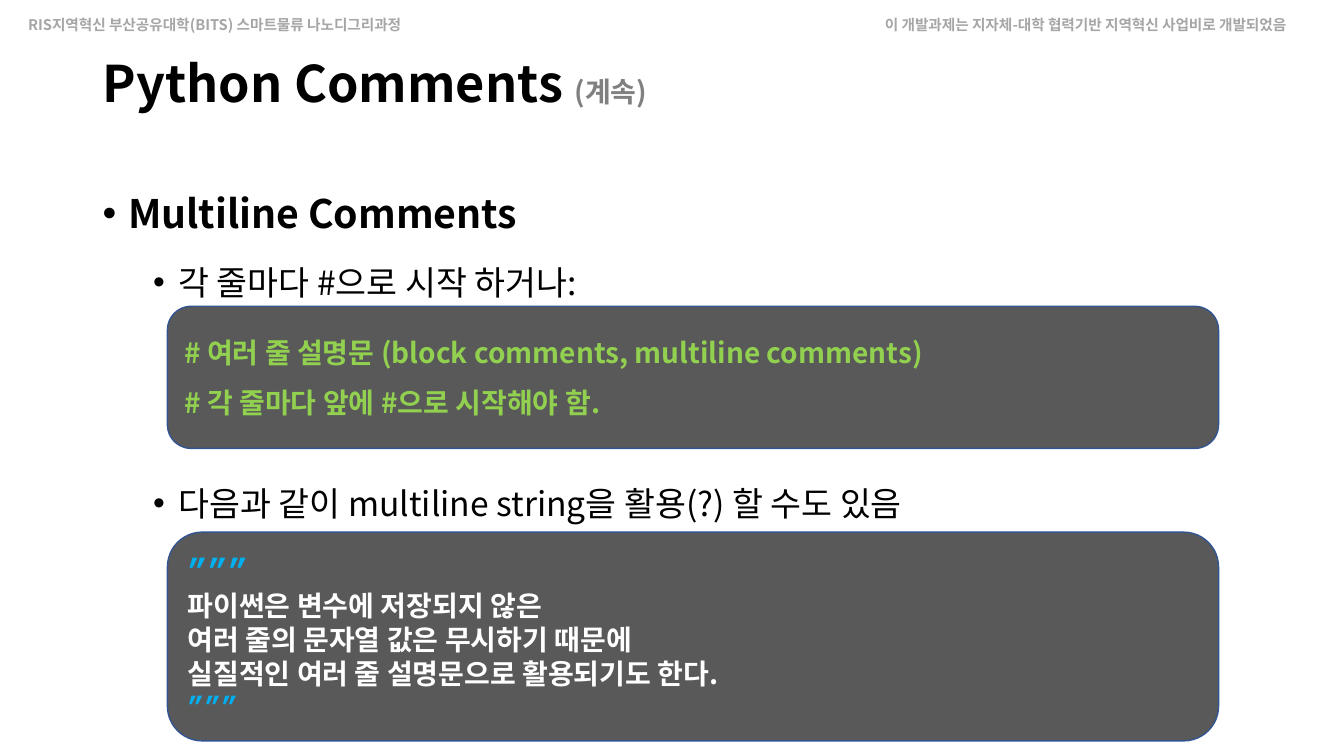
from dataclasses import dataclass

from lxml import etree
from pptx import Presentation
from pptx.dml.color import RGBColor
from pptx.enum.shapes import MSO_SHAPE
from pptx.enum.text import MSO_ANCHOR, MSO_AUTO_SIZE, PP_ALIGN
from pptx.oxml.ns import qn
from pptx.util import Cm, Pt

ROUNDED = MSO_SHAPE.ROUNDED_RECTANGLE
LEFT = PP_ALIGN.LEFT
MIDDLE, TOP = MSO_ANCHOR.MIDDLE, MSO_ANCHOR.TOP
NO_FIT = MSO_AUTO_SIZE.NONE

SANS, MONO = "Noto Sans CJK KR", "Courier New"
BLACK, WHITE, GRAY, LIGHT_GRAY = "000000", "FFFFFF", "808080", "A6A6A6"
GREEN, BLUE, CODE_FILL, CODE_LINE = "92D050", "00B0F0", "595959", "325491"


@dataclass
class Run:
    text: str
    size: float
    color: str
    bold: bool = True
    font: str = SANS


@dataclass
class Line:
    """One paragraph; pitch is its exact line height in points."""
    runs: list[Run]
    pitch: float | None = None
    before: float = 0
    bullet_cm: float | None = None
    level: int = 0


@dataclass
class Block:
    left: float
    top: float
    width: float
    height: float
    lines: list[Line]
    wrap: bool = True


def rgb(color: str) -> RGBColor:
    return RGBColor.from_string(color)


def add_run(p, run: Run) -> None:
    r = p.add_run()
    r.text = run.text
    font = r.font
    font.name, font.size, font.bold = run.font, Pt(run.size), run.bold
    font.color.rgb = rgb(run.color)
    etree.SubElement(r._r.get_or_add_rPr(), qn("a:ea"), typeface=run.font)


def add_bullet(p, margin_cm: float) -> None:
    pPr = p._p.get_or_add_pPr()
    pPr.set("marL", str(Cm(margin_cm)))
    pPr.set("indent", str(-Cm(0.64)))
    etree.SubElement(pPr, qn("a:buFont"), typeface="Arial")
    etree.SubElement(pPr, qn("a:buChar"), char="•")


def fill_text(tf, block: Block, anchor=TOP) -> None:
    tf.word_wrap = block.wrap
    tf.auto_size = NO_FIT
    tf.vertical_anchor = anchor
    for i, line in enumerate(block.lines):
        p = tf.add_paragraph() if i else tf.paragraphs[0]
        p.alignment = LEFT
        p.level = line.level
        p.space_before = Pt(line.before)
        if line.pitch:
            p.line_spacing = Pt(line.pitch)
        if line.bullet_cm is not None:
            add_bullet(p, line.bullet_cm)
        for run in line.runs:
            add_run(p, run)


def bounds(block: Block) -> list[Cm]:
    return [Cm(v) for v in (block.left, block.top, block.width, block.height)]


def add_text(slide, block: Block) -> None:
    fill_text(slide.shapes.add_textbox(*bounds(block)).text_frame, block)


def add_code_box(slide, block: Block) -> None:
    sp = slide.shapes.add_shape(ROUNDED, *bounds(block))
    sp.shadow.inherit = False
    sp.fill.solid()
    sp.fill.fore_color.rgb = rgb(CODE_FILL)
    sp.line.color.rgb = rgb(CODE_LINE)
    sp.line.width = Pt(1)
    fill_text(sp.text_frame, block, MIDDLE)


def set_title(slide, block: Block) -> None:
    sp = slide.shapes.title
    sp.left, sp.top, sp.width, sp.height = bounds(block)
    fill_text(sp.text_frame, block, MIDDLE)
    sp.text_frame.paragraphs[0].line_spacing = 0.9


def header(left: float, width: float, text: str, wrap: bool) -> Block:
    return Block(left, 0.28, width, 0.71,
                 [Line([Run(text, 10.5, LIGHT_GRAY)])], wrap)


def code_line(text: str, color: str, before: float = 0) -> Line:
    return Line([Run(text, 20, color)], 24, before)


HEADERS = [
    header(0.46, 10.77, "RIS지역혁신 부산공유대학(BITS) 스마트물류 나노디그리과정", False),
    header(22.05, 11.82, "이 개발과제는 지자체-대학 협력기반 지역혁신 사업비로 개발되었음", True),
]

TITLE = Block(2.34, 1.02, 29.21, 2.29, [
    Line([Run("Python Comments ", 36, BLACK), Run("(계속)", 20, GRAY)]),
])

BODY = Block(2.34, 3.99, 29.21, 13.18, [
    Line([Run("Multiline Comments", 28, BLACK)], 52, 0, 0.64),
    Line([Run("각 줄마다 #으로 시작 하거나:", 24, BLACK, False)], 42, 5, 1.91, 1),
    Line([Run("다음과 같이 multiline string을 활용(?) 할 수도 있음", 24, BLACK, False)],
         29, 129, 1.91, 1),
])

CODE_BOXES = [
    Block(4.22, 13.41, 26.49, 5.26, [
        Line([Run("”””", 24, BLUE, font=MONO)], 27),
        code_line("파이썬은 변수에 저장되지 않은", WHITE),
        code_line("여러 줄의 문자열 값은 무시하기 때문에", WHITE),
        code_line("실질적인 여러 줄 설명문으로 활용되기도 한다.", WHITE),
        Line([Run("”””", 20, BLUE, font=MONO)], 23),
    ]),
    Block(4.22, 7.72, 26.49, 3.58, [
        code_line("# 여러 줄 설명문 (block comments, multiline comments)", GREEN),
        code_line("# 각 줄마다 앞에 #으로 시작해야 함.", GREEN, 12),
    ]),
]


def main() -> None:
    prs = Presentation()
    prs.slide_width, prs.slide_height = Cm(33.87), Cm(19.05)
    slide = prs.slides.add_slide(prs.slide_layouts[5])

    # Header notes, title and bullets
    for block in HEADERS:
        add_text(slide, block)
    set_title(slide, TITLE)
    add_text(slide, BODY)

    # Code samples
    for block in CODE_BOXES:
        add_code_box(slide, block)

    prs.save("out.pptx")


if __name__ == "__main__":
    main()
